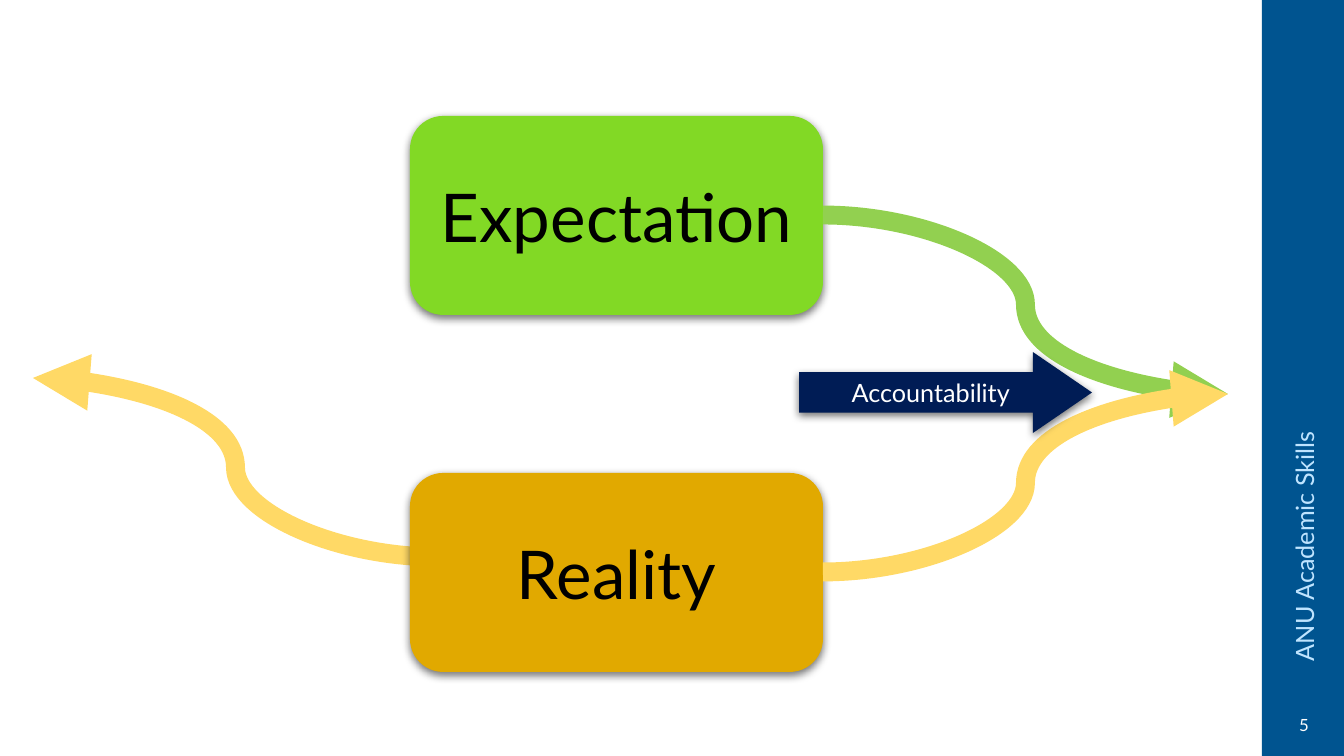
from lxml.etree import SubElement
from pptx import Presentation
from pptx.dml.color import RGBColor
from pptx.enum.shapes import MSO_CONNECTOR, MSO_SHAPE
from pptx.enum.text import MSO_ANCHOR, PP_ALIGN
from pptx.oxml.ns import qn
from pptx.util import Emu, Pt

WIDE, HIGH = 1344, 756
FONT = "Lato"
GOLD = "FFD966"


def px(count):
    return Emu(round(count * 12192000 / WIDE))


def tint(code):
    return RGBColor.from_string(code)


def write(shape, text, size=18, color="FFFFFF", align=PP_ALIGN.CENTER,
          anchor=MSO_ANCHOR.MIDDLE):
    frame = shape.text_frame
    frame.word_wrap = True
    frame.vertical_anchor = anchor
    para = frame.paragraphs[0]
    para.alignment = align
    run = para.add_run()
    run.text = text
    run.font.name = FONT
    run.font.size = Pt(size)
    run.font.color.rgb = tint(color)


def block(slide, kind, box, fill, shade=True):
    """Add a filled shape without outline, with a soft shadow if shade is set."""
    shape = slide.shapes.add_shape(kind, *map(px, box))
    shape.fill.solid()
    shape.fill.fore_color.rgb = tint(fill)
    shape.line.fill.background()
    shape.shadow.inherit = False
    if shade:
        effects = shape._element.spPr.find(qn("a:effectLst"))
        outer = SubElement(effects, qn("a:outerShdw"), blurRad=str(Pt(6)),
                           dist=str(Pt(2)), dir="5400000", rotWithShape="0")
        black = SubElement(outer, qn("a:srgbClr"), val="000000")
        SubElement(black, qn("a:alpha"), val="55000")
    return shape


def curve(slide, start, end, color):
    link = slide.shapes.add_connector(
        MSO_CONNECTOR.CURVE, *map(px, start + end))
    link.line.color.rgb = tint(color)
    link.line.width = Pt(13.5)
    SubElement(link.line._get_or_add_ln(), qn("a:tailEnd"), type="triangle")
    SubElement(link._element.spPr, qn("a:effectLst"))


def label(slide, box, text, turn=0, **style):
    shape = slide.shapes.add_textbox(*map(px, box))
    shape.rotation = turn
    write(shape, text, **style)


def card(slide, box, text, fill):
    shape = block(slide, MSO_SHAPE.ROUNDED_RECTANGLE, box, fill)
    write(shape, text, size=48, color="000000")


def side(slide, box):
    """Draw the side bar with its upright name and page number."""
    left, top, width, height = box
    block(slide, MSO_SHAPE.RECTANGLE, box, "005490", shade=False)
    mid = left + width // 2 + 1
    long, thick = 500, 40
    label(slide, (mid - long // 2, top + 401, long, thick),
          "ANU Academic Skills", turn=270, color="BFE4FF",
          align=PP_ALIGN.LEFT)
    label(slide, (mid - 29, top + 710, 58, 33), "5", size=12,
          anchor=MSO_ANCHOR.TOP)


def chart(slide, box):
    """Draw the two cards, the curves that leave them and the arrow."""
    left, top, width, height = box
    wide, high = 413, 199
    card_x = left + 377
    edge = card_x + wide
    low = top + height - high
    goal = (left + width, top + 278)

    card(slide, (card_x, top, wide, high), "Expectation", "82D925")
    curve(slide, (edge, top + high // 2), goal, "92D050")
    curve(slide, (left + 405, low + 84), (left, top + 262), GOLD)
    card(slide, (card_x, low, wide, high), "Reality", "E1A900")
    curve(slide, (edge, low + high // 2), goal, GOLD)

    arrow = block(slide, MSO_SHAPE.RIGHT_ARROW,
                  (edge - 24, top + 236, 293, 81), "001C55")
    arrow.adjustments[1] = 0.73
    write(arrow, "Accountability")


def main():
    deck = Presentation()
    deck.slide_width, deck.slide_height = px(WIDE), px(HIGH)
    slide = deck.slides.add_slide(deck.slide_layouts[6])
    side(slide, (1262, 0, 82, HIGH))
    chart(slide, (33, 116, 1195, 556))
    deck.save("out.pptx")


if __name__ == "__main__":
    main()
